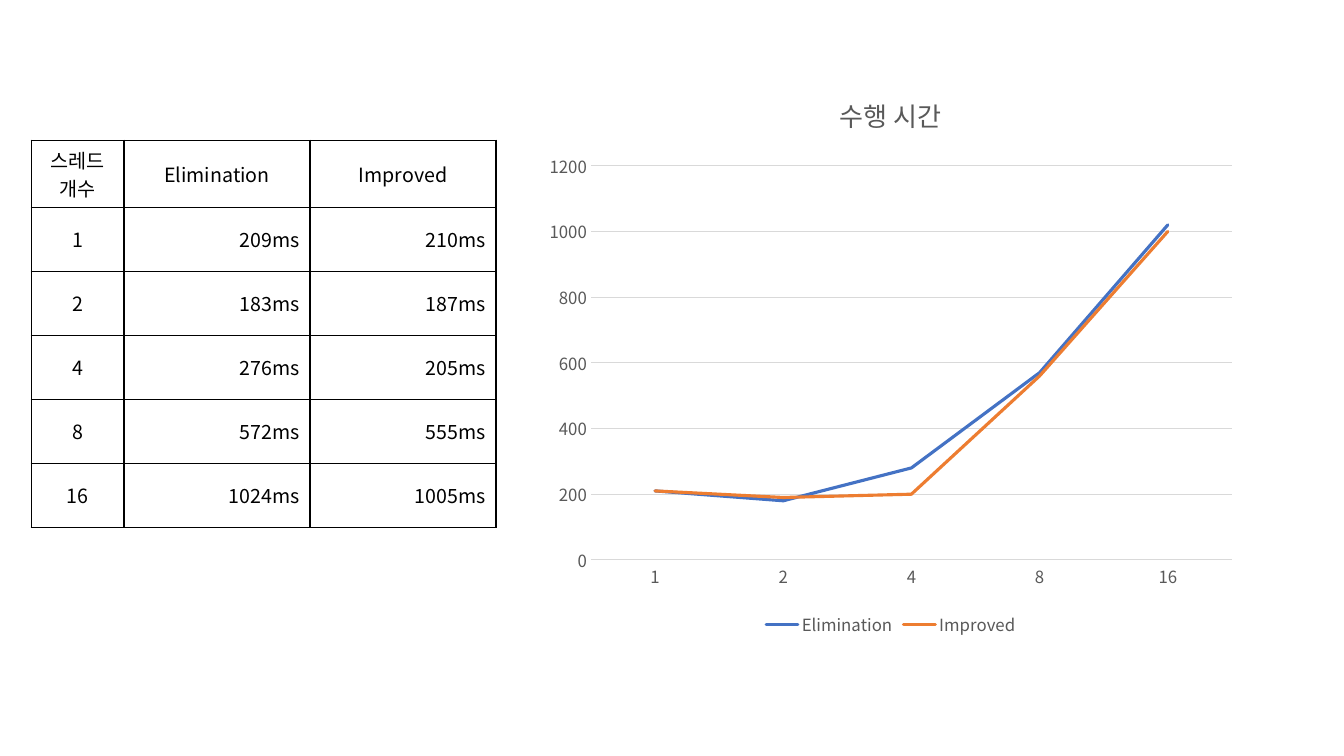
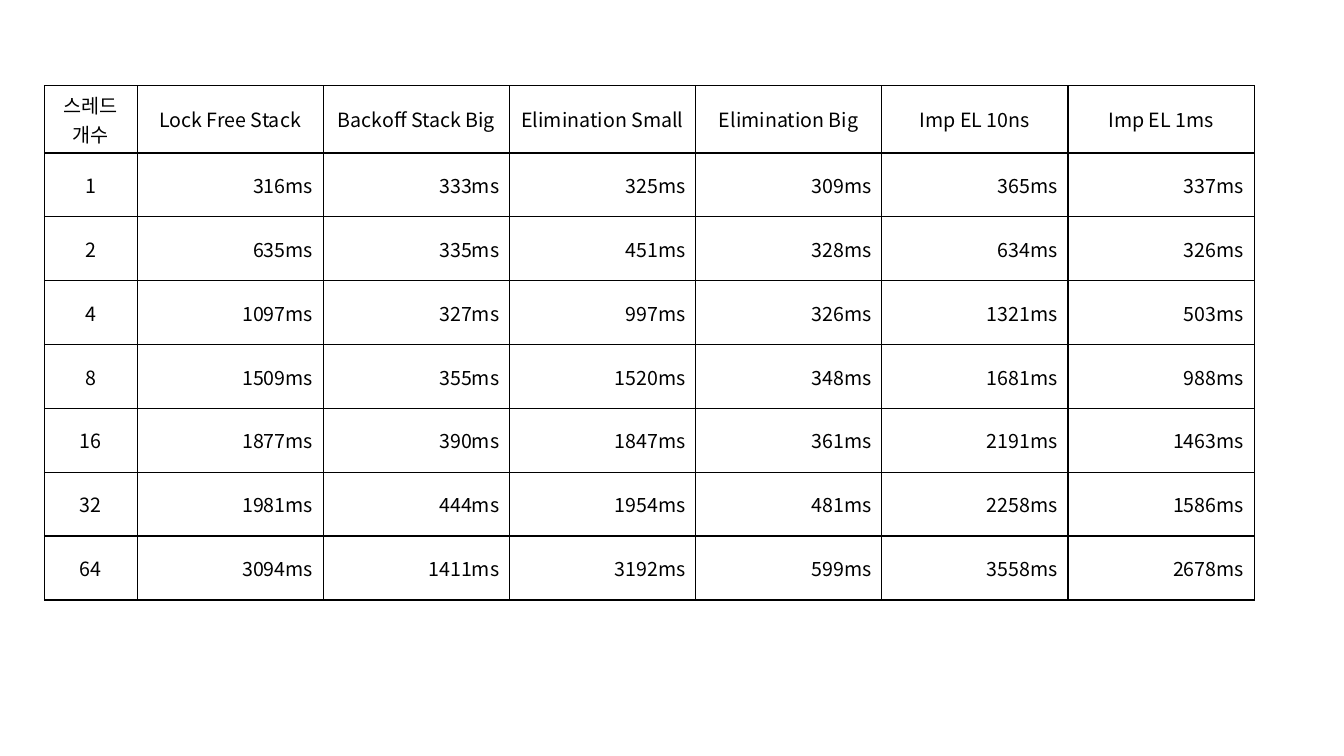
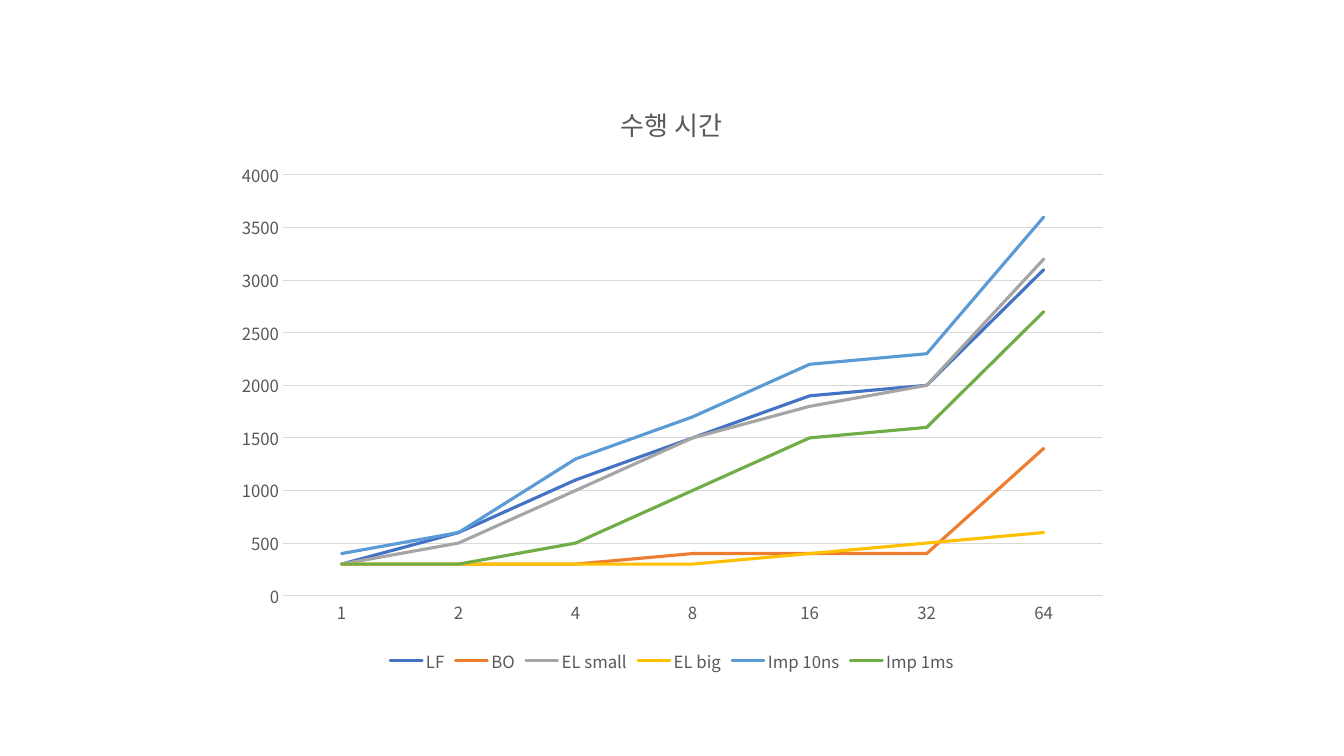
import lxml.etree
import pptx
import pptx.chart.data
import pptx.dml.color
import pptx.enum.chart
import pptx.enum.text
import pptx.oxml.ns
import pptx.util

Inches = pptx.util.Inches
Pt = pptx.util.Pt

FONT = "Noto Sans CJK KR"
COLORS = {
    "text": "000000",
    "border": "000000",
    "cell": "FFFFFF",
    "chart_text": "595959",
    "grid": "D9D9D9",
    "blue": "4472C4",
    "orange": "ED7D31",
    "gray": "A5A5A5",
    "yellow": "FFC000",
    "light_blue": "5B9BD5",
    "green": "70AD47",
}
SERIES_COLORS = ["blue", "orange", "gray", "yellow", "light_blue", "green"]
THREAD_HEADING = "스레드 개수"
CHART_TITLE = "수행 시간"
THREAD_COLUMN_WIDTH = 0.92

PAIR_THREADS = [1, 2, 4, 8, 16]
PAIR_TIMES = {
    "Elimination": [209, 183, 276, 572, 1024],
    "Improved": [210, 187, 205, 555, 1005],
}
STACK_THREADS = [1, 2, 4, 8, 16, 32, 64]
STACK_TIMES = {
    "Lock Free Stack": [316, 635, 1097, 1509, 1877, 1981, 3094],
    "Backoff Stack Big": [333, 335, 327, 355, 390, 444, 1411],
    "Elimination Small": [325, 451, 997, 1520, 1847, 1954, 3192],
    "Elimination Big": [309, 328, 326, 348, 361, 481, 599],
    "Imp EL 10ns": [365, 634, 1321, 1681, 2191, 2258, 3558],
    "Imp EL 1ms": [337, 326, 503, 988, 1463, 1586, 2678],
}
STACK_SHORT_NAMES = ["LF", "BO", "EL small", "EL big", "Imp 10ns", "Imp 1ms"]


def rgb(name):
    return pptx.dml.color.RGBColor.from_string(COLORS[name])


def format_font(font, size, color):
    font.size = Pt(size)
    font.bold = False
    font.name = FONT
    font.color.rgb = rgb(color)


def format_run(run, size, color):
    format_font(run.font, size, color)
    properties = run._r.get_or_add_rPr()
    latin = properties.find(pptx.oxml.ns.qn("a:latin"))
    east_asian = lxml.etree.Element(pptx.oxml.ns.qn("a:ea"), typeface=FONT)
    latin.addnext(east_asian)


def format_line(line, color, width):
    line.color.rgb = rgb(color)
    line.width = Pt(width)


def add_cell_borders(cell):
    qn = pptx.oxml.ns.qn
    properties = cell._tc.get_or_add_tcPr()
    for side in ("lnL", "lnR", "lnT", "lnB"):
        border = lxml.etree.SubElement(properties, qn(f"a:{side}"), w=str(Pt(1)))
        fill = lxml.etree.SubElement(border, qn("a:solidFill"))
        lxml.etree.SubElement(fill, qn("a:srgbClr"), val=COLORS["border"])


def fill_cell(cell, text, alignment):
    add_cell_borders(cell)
    cell.fill.solid()
    cell.fill.fore_color.rgb = rgb("cell")
    cell.vertical_anchor = pptx.enum.text.MSO_ANCHOR.MIDDLE
    cell.text_frame.text = text
    paragraph = cell.text_frame.paragraphs[0]
    paragraph.alignment = alignment
    format_run(paragraph.runs[0], 14, "text")


def add_time_table(slide, box, threads, times):
    rows = [[THREAD_HEADING, *times]]
    for thread, *row_times in zip(threads, *times.values()):
        rows.append([str(thread)] + [f"{time}ms" for time in row_times])
    width, height = box[2:]
    time_width = (width - THREAD_COLUMN_WIDTH) / len(times)
    widths = [THREAD_COLUMN_WIDTH] + [time_width] * len(times)
    table = slide.shapes.add_table(
        len(rows), len(widths), *[Inches(length) for length in box]
    ).table
    table.first_row = False
    table.horz_banding = False
    for column, column_width in zip(table.columns, widths):
        column.width = Inches(column_width)
    align = pptx.enum.text.PP_ALIGN
    for row_index, texts in enumerate(rows):
        table.rows[row_index].height = Inches(height / len(rows))
        for column_index, text in enumerate(texts):
            is_time = row_index > 0 and column_index > 0
            alignment = align.RIGHT if is_time else align.CENTER
            fill_cell(table.cell(row_index, column_index), text, alignment)


def format_axes(chart, maximum, step):
    for axis in (chart.category_axis, chart.value_axis):
        axis.major_tick_mark = pptx.enum.chart.XL_TICK_MARK.NONE
        axis.minor_tick_mark = pptx.enum.chart.XL_TICK_MARK.NONE
        format_font(axis.tick_labels.font, 12, "chart_text")
    format_line(chart.category_axis.format.line, "grid", 0.75)
    value_axis = chart.value_axis
    value_axis.minimum_scale = 0
    value_axis.maximum_scale = maximum
    value_axis.major_unit = step
    value_axis.format.line.fill.background()
    format_line(value_axis.major_gridlines.format.line, "grid", 0.75)


def format_series(series, color):
    series.smooth = False
    series.marker.style = pptx.enum.chart.XL_MARKER_STYLE.NONE
    format_line(series.format.line, color, 2.25)
    for line in series._element.xpath("./c:spPr/a:ln"):
        line.set("cap", "rnd")


def add_time_chart(slide, box, threads, times, digits, maximum, step):
    chart_data = pptx.chart.data.CategoryChartData()
    chart_data.categories = [str(thread) for thread in threads]
    for name, values in times.items():
        chart_data.add_series(name, [round(value, digits) for value in values])
    chart = slide.shapes.add_chart(
        pptx.enum.chart.XL_CHART_TYPE.LINE,
        *[Inches(length) for length in box], chart_data,
    ).chart
    format_font(chart.font, 10, "text")

    chart.has_title = True
    chart.chart_title.include_in_layout = False
    title_frame = chart.chart_title.text_frame
    title_frame.text = CHART_TITLE
    format_run(title_frame.paragraphs[0].runs[0], 18.62, "chart_text")

    chart.has_legend = True
    chart.legend.position = pptx.enum.chart.XL_LEGEND_POSITION.BOTTOM
    chart.legend.include_in_layout = False
    format_font(chart.legend.font, 12, "chart_text")

    format_axes(chart, maximum, step)
    chart.plots[0].vary_by_categories = False
    for series, color in zip(chart.plots[0].series, SERIES_COLORS):
        format_series(series, color)


def main():
    presentation = pptx.Presentation()
    presentation.slide_width = Inches(13.33)
    presentation.slide_height = Inches(7.5)
    blank_layout = presentation.slide_layouts[6]

    pair_slide = presentation.slides.add_slide(blank_layout)
    add_time_table(pair_slide, (0.31, 1.39, 4.61, 3.81), PAIR_THREADS, PAIR_TIMES)
    add_time_chart(
        pair_slide, (5.31, 0.71, 7.05, 5.65),
        PAIR_THREADS, PAIR_TIMES, -1, 1200, 200,
    )

    table_slide = presentation.slides.add_slide(blank_layout)
    add_time_table(table_slide, (0.44, 0.85, 12, 5.07), STACK_THREADS, STACK_TIMES)

    chart_slide = presentation.slides.add_slide(blank_layout)
    short_times = dict(zip(STACK_SHORT_NAMES, STACK_TIMES.values()))
    add_time_chart(
        chart_slide, (2.22, 0.79, 8.89, 5.93),
        STACK_THREADS, short_times, -2, 4000, 500,
    )

    presentation.save("out.pptx")


if __name__ == "__main__":
    main()
